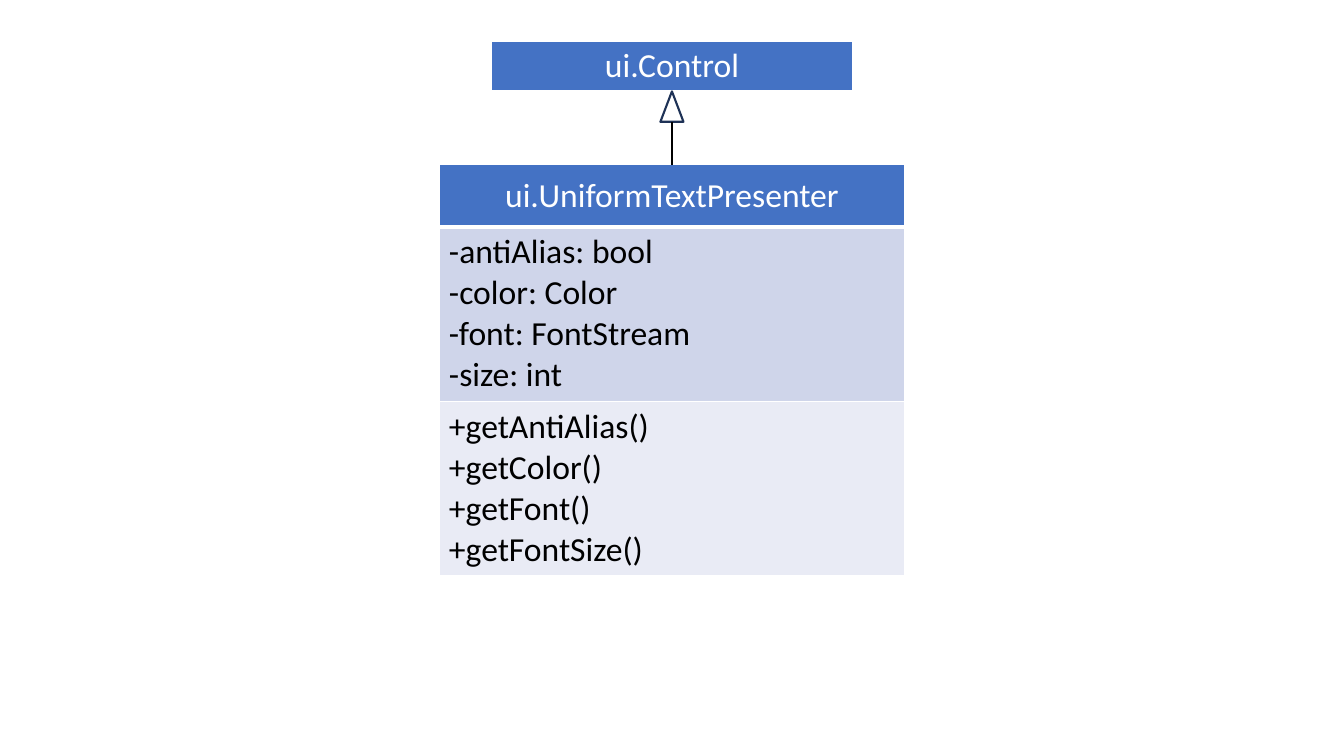
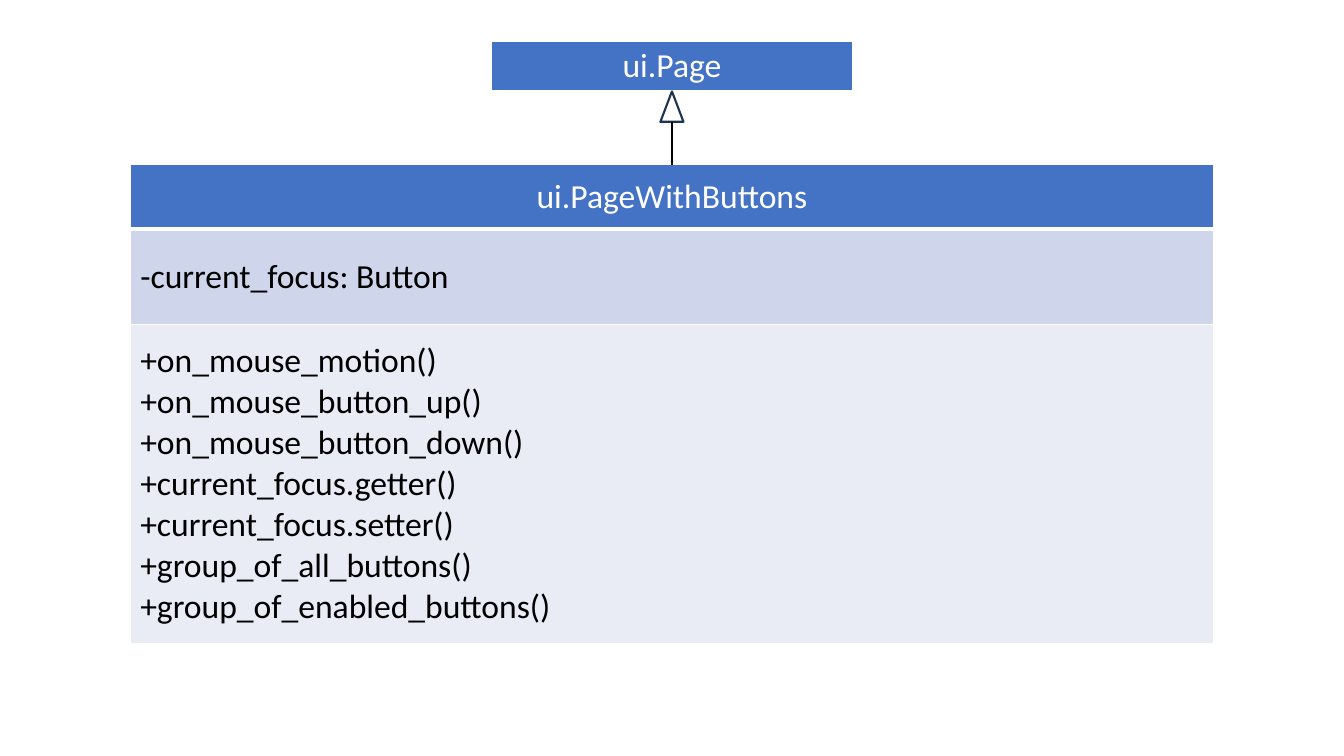
from lxml import etree
from pptx import Presentation
from pptx.dml.color import RGBColor
from pptx.enum.shapes import MSO_CONNECTOR, MSO_SHAPE
from pptx.enum.text import MSO_ANCHOR, PP_ALIGN
from pptx.oxml.ns import qn
from pptx.util import Pt

PX = 9525
SLIDE_WIDTH, SLIDE_HEIGHT = 1280, 720
CENTER = SLIDE_WIDTH // 2
PARENT_TOP, PARENT_WIDTH, PARENT_HEIGHT = 39, 344, 48
ARROW_TOP, ARROW_WIDTH, ARROW_HEIGHT = 87, 22, 29
CLASS_TOP = 157

WHITE = RGBColor(0xFF, 0xFF, 0xFF)
BLACK = RGBColor(0x00, 0x00, 0x00)
BLUE = RGBColor(0x44, 0x72, 0xC4)
PALE_BLUE = RGBColor(0xCF, 0xD5, 0xEA)
PALE_GRAY = RGBColor(0xE9, 0xEB, 0xF5)
NAVY = RGBColor(0x1E, 0x32, 0x56)

TRIANGLE = MSO_SHAPE.ISOSCELES_TRIANGLE
STRAIGHT = MSO_CONNECTOR.STRAIGHT
MIDDLE = MSO_ANCHOR.MIDDLE
CENTERED, LEFT = PP_ALIGN.CENTER, PP_ALIGN.LEFT

ROW_STYLES = [
    (BLUE, WHITE, CENTERED),
    (PALE_BLUE, BLACK, LEFT),
    (PALE_GRAY, BLACK, LEFT),
]

DIAGRAMS = [
    ("ui.Control", 444, [
        (59, ["ui.UniformTextPresenter"]),
        (166, ["-antiAlias: bool", "-color: Color", "-font: FontStream", "-size: int"]),
        (166, ["+getAntiAlias()", "+getColor()", "+getFont()", "+getFontSize()"]),
    ]),
    ("ui.Page", 1032, [
        (61, ["ui.PageWithButtons"]),
        (91, ["-current_focus: Button"]),
        (304, [
            "+on_mouse_motion()",
            "+on_mouse_button_up()",
            "+on_mouse_button_down()",
            "+current_focus.getter()",
            "+current_focus.setter()",
            "+group_of_all_buttons()",
            "+group_of_enabled_buttons()",
        ]),
    ]),
]


def add_border(cell, side, width):
    border = etree.SubElement(cell._tc.get_or_add_tcPr(), qn(f"a:{side}"), w=str(Pt(width)))
    fill = etree.SubElement(border, qn("a:solidFill"))
    etree.SubElement(fill, qn("a:srgbClr"), val=str(WHITE))


def add_class_table(page, top, width, rows):
    height = sum(row_height for row_height, lines in rows)
    left = CENTER - width // 2
    frame = page.shapes.add_table(len(rows), 1, left * PX, top * PX, width * PX, height * PX)
    table = frame.table
    table.horz_banding = False
    for index, (row_height, lines) in enumerate(rows):
        fill_color, text_color, alignment = ROW_STYLES[index]
        table.rows[index].height = row_height * PX
        cell = table.cell(index, 0)
        for side in ("lnL", "lnR"):
            add_border(cell, side, 1)
        add_border(cell, "lnT", 3 if index == 1 else 1)
        add_border(cell, "lnB", 3 if index == 0 else 1)
        cell.fill.solid()
        cell.fill.fore_color.rgb = fill_color
        cell.vertical_anchor = MIDDLE
        cell.text_frame.text = "\n".join(lines)
        for para in cell.text_frame.paragraphs:
            para.alignment = alignment
            para.font.name = "Calibri"
            para.font.size = Pt(24)
            para.font.bold = False
            para.font.color.rgb = text_color


deck = Presentation()
deck.slide_width = SLIDE_WIDTH * PX
deck.slide_height = SLIDE_HEIGHT * PX
blank_layout = deck.slide_layouts[6]

for parent_name, class_width, class_rows in DIAGRAMS:
    page = deck.slides.add_slide(blank_layout)
    add_class_table(page, CLASS_TOP, class_width, class_rows)
    add_class_table(page, PARENT_TOP, PARENT_WIDTH, [(PARENT_HEIGHT, [parent_name])])

    arrowhead = page.shapes.add_shape(
        TRIANGLE,
        (CENTER - ARROW_WIDTH // 2) * PX,
        ARROW_TOP * PX,
        ARROW_WIDTH * PX,
        ARROW_HEIGHT * PX,
    )
    arrowhead.shadow.inherit = False
    arrowhead.fill.background()
    arrowhead.line.color.rgb = NAVY
    arrowhead.line.width = Pt(1.5)

    stem = page.shapes.add_connector(
        STRAIGHT, CENTER * PX, (ARROW_TOP + ARROW_HEIGHT) * PX, CENTER * PX, CLASS_TOP * PX
    )
    stem.line.color.rgb = BLACK
    stem.line.width = Pt(1.5)
    etree.SubElement(stem._element.spPr, qn("a:effectLst"))

deck.save("out.pptx")
